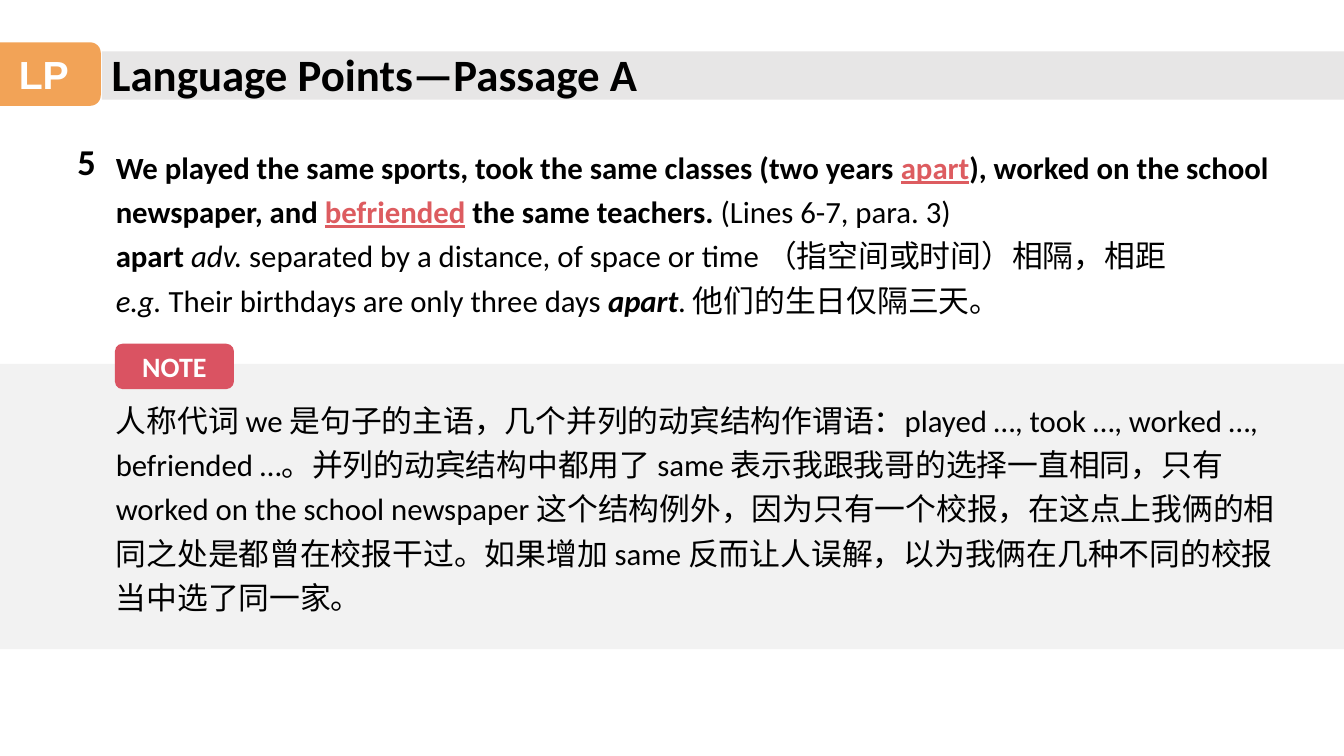
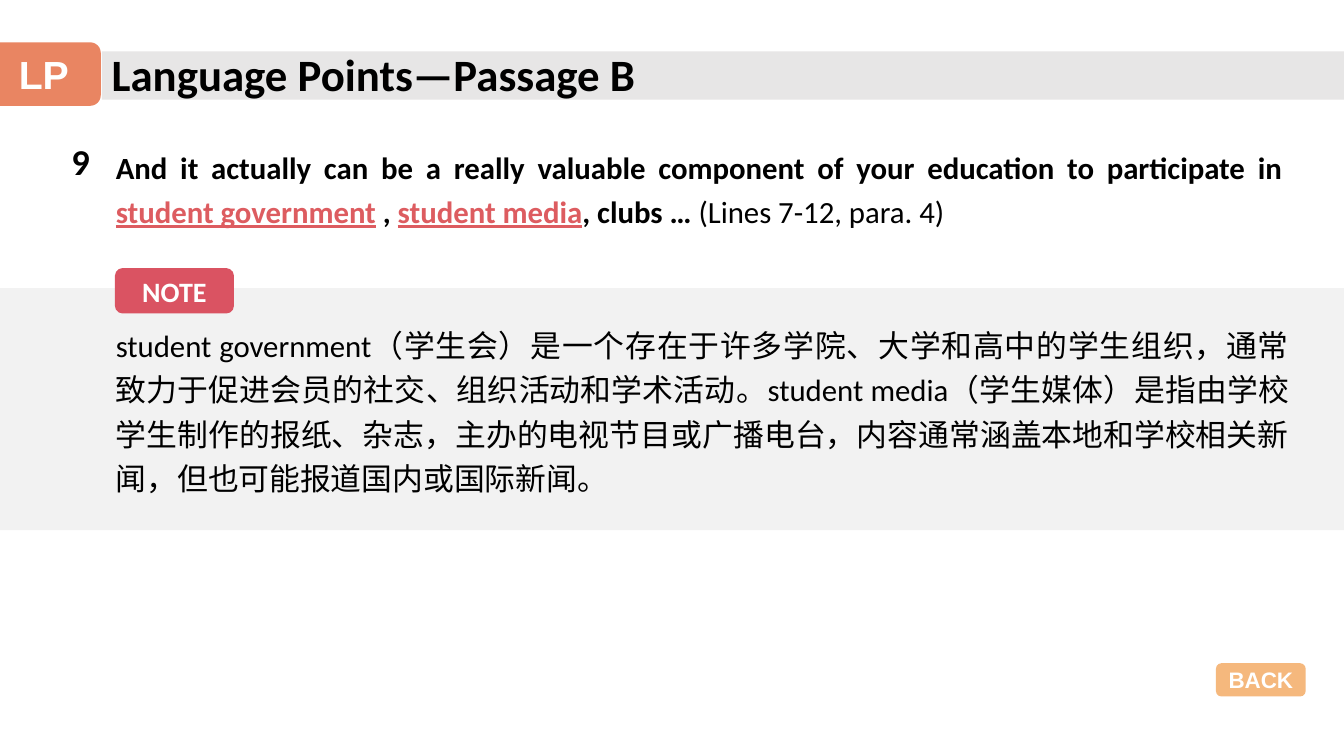
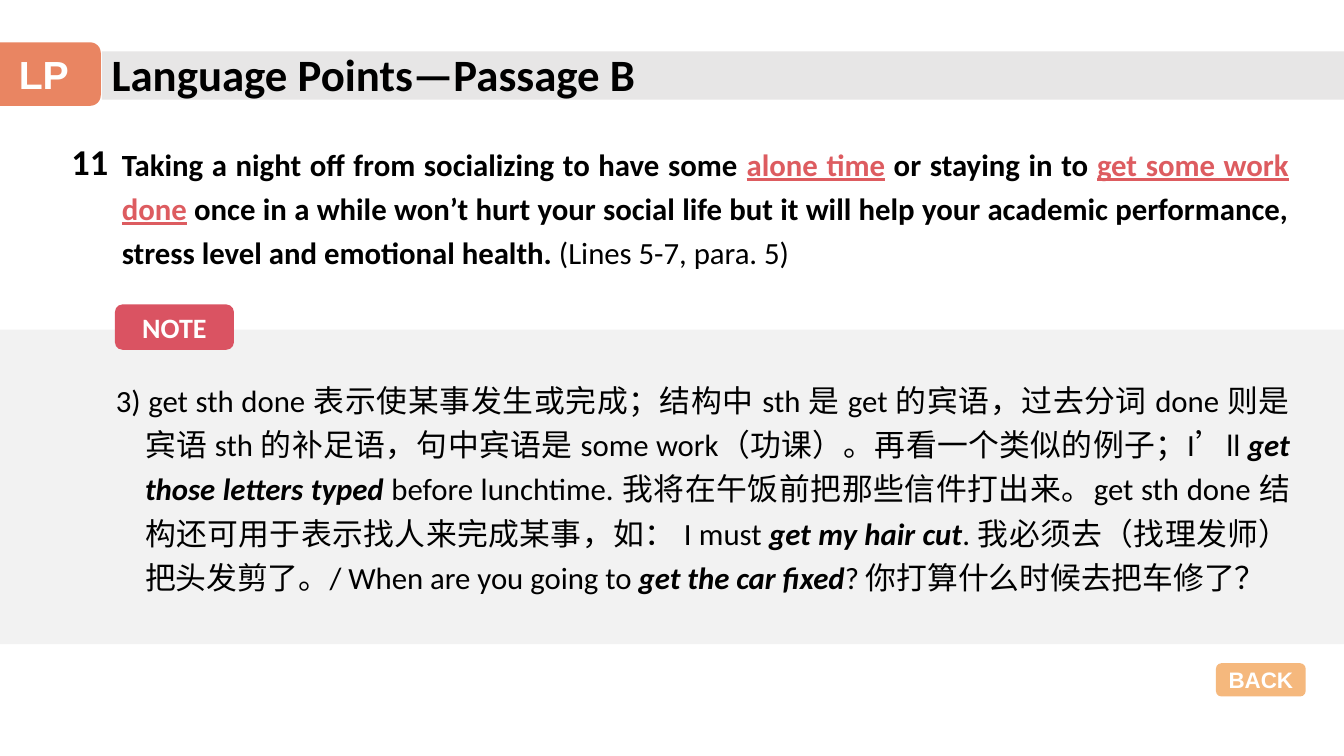
from dataclasses import dataclass

from pptx import Presentation
from pptx.dml.color import RGBColor
from pptx.enum.shapes import MSO_SHAPE
from pptx.enum.text import MSO_ANCHOR, PP_ALIGN
from pptx.util import Emu, Pt

PX = 9144  # 100 px to the inch
SLIDE_WIDTH, SLIDE_HEIGHT = 1333, 750


@dataclass(frozen=True)
class Theme:
    text: str = "000000"
    white: str = "FFFFFF"
    key_term: str = "DD5C60"
    title_band: str = "E7E6E6"
    note_band: str = "F2F2F2"
    note_label: str = "DA5362"
    back: str = "F5B87D"
    passage_a: str = "F2A357"
    passage_b: str = "E98562"
    body_font: str = "Calibri"
    label_font: str = "Arial"
    chinese_font: str = "Noto Sans CJK SC"
    title_size: int = 32
    tab_size: int = 28
    number_size: int = 26
    body_size: int = 22
    note_size: int = 20
    back_size: int = 16


THEME = Theme()

# Content: each paragraph is a list of (text, style) runs.
# Styles: b bold, i italic, k key term (bold, red, underlined), c Chinese font
SLIDES = [
    {
        "passage": "A", "tab": THEME.passage_a, "back": False,
        "number": "5", "number_box": (67, 133, 47, 54),
        "sentence_box": (105, 135, 1177, 188),
        "sentence": [
            [("We played the same sports, took the same classes (two years ", "b"),
             ("apart", "k"), ("), worked on the school ", "b")],
            [("newspaper, and ", "b"), ("befriended", "k"),
             (" the same teachers.", "b"), (" (Lines 6-7, para. 3)", "")],
            [("apart ", "b"), ("adv.", "i"),
             (" separated by a distance, of space or time ", ""),
             ("（指空间或时间）相隔，相距", "c")],
            [("e.g.", "i"), (" Their birthdays are only three days ", ""),
             ("apart", "bi"), (". ", ""), ("他们的生日仅隔三天。", "c")],
        ],
        "band": (361, 283), "label_top": 341, "note_box": (105, 386, 1184, 229),
        "note_align": PP_ALIGN.LEFT, "hanging": 0,
        "note": [[
            ("人称代词 we 是句子的主语，几个并列的动宾结构作谓语：played …, took …, "
             "worked …, befriended …。并列的动宾结构中都用了 same 表示我跟我哥的选择一直相同，"
             "只有 worked on the school newspaper 这个结构例外，因为只有一个校报，"
             "在这点上我俩的相同之处是都曾在校报干过。如果增加 same 反而让人误解，"
             "以为我俩在几种不同的校报当中选了同一家。", ""),
        ]],
    },
    {
        "passage": "B", "tab": THEME.passage_b, "back": True,
        "number": "9", "number_box": (61, 133, 63, 54),
        "sentence_box": (105, 135, 1177, 99),
        "sentence": [[
            ("And it actually can be a really valuable component of your education "
             "to participate in ", "b"),
            ("student government", "k"), (" , ", "b"), ("student media", "k"),
            (", clubs … ", "b"), ("(Lines 7-12, para. 4)", ""),
        ]],
        "band": (286, 240), "label_top": 266, "note_box": (105, 312, 1184, 182),
        "note_align": PP_ALIGN.JUSTIFY, "hanging": 0,
        "note": [[
            ("student government", ""),
            ("（学生会）是一个存在于许多学院、大学和高中的学生组织，"
             "通常致力于促进会员的社交、组织活动和学术活动。", "c"),
            ("student media", ""),
            ("（学生媒体）是指由学校学生制作的报纸、杂志，主办的电视节目或广播电台，"
             "内容通常涵盖本地和学校相关新闻，但也可能报道国内或国际新闻。", "c"),
        ]],
    },
    {
        "passage": "B", "tab": THEME.passage_b, "back": True,
        "number": "11", "number_box": (61, 133, 63, 54),
        "sentence_box": (111, 132, 1177, 143),
        "sentence": [[
            ("Taking a night off from socializing to have some ", "b"),
            ("alone time", "k"), (" or staying in to ", "b"),
            ("get some work", "k"), (" ", "b"), ("done", "k"),
            (" once in a while won’t hurt your social life but it will help your "
             "academic performance, stress level and emotional health.", "b"),
            (" (Lines 5-7, para. 5)", ""),
        ]],
        "band": (327, 312), "label_top": 302, "note_box": (105, 366, 1184, 229),
        "note_align": PP_ALIGN.JUSTIFY, "hanging": 29,
        "note": [[
            ("3) get sth done 表示使某事发生或完成；结构中 sth 是 get 的宾语，"
             "过去分词 done 则是宾语 sth 的补足语，句中宾语是 some work（功课）。"
             "再看一个类似的例子；I", ""),
            ("’", "c"), ("ll ", ""), ("get those letters typed", "bi"),
            (" before lunchtime. 我将在午饭前把那些信件打出来。get sth done "
             "结构还可用于表示找人来完成某事，如： I must ", ""),
            ("get my hair cut", "bi"),
            (". 我必须去（找理发师）把头发剪了。/ When are you going to ", ""),
            ("get the car fixed", "bi"), ("? 你打算什么时候去把车修了？", ""),
        ]],
    },
]


def px(*lengths):
    return [Emu(length * PX) for length in lengths]


def set_font(font, name, size, color, bold=None):
    font.name, font.size, font.bold = name, Pt(size), bold
    font.color.rgb = RGBColor.from_string(color)


def add_block(slide, kind, box, fill):
    shape = slide.shapes.add_shape(kind, *px(*box))
    shape.shadow.inherit = False
    shape.fill.solid()
    shape.fill.fore_color.rgb = RGBColor.from_string(fill)
    shape.line.fill.background()
    return shape


def add_label(slide, box, fill, text, name, size):
    shape = add_block(slide, MSO_SHAPE.ROUNDED_RECTANGLE, box, fill)
    frame = shape.text_frame
    frame.vertical_anchor = MSO_ANCHOR.MIDDLE
    frame.word_wrap = False
    paragraph = frame.paragraphs[0]
    paragraph.alignment = PP_ALIGN.CENTER
    paragraph.add_run().text = text
    set_font(paragraph.font, name, size, THEME.white, True)


def add_heading(slide, box, text, size):
    frame = slide.shapes.add_textbox(*px(*box)).text_frame
    frame.word_wrap = True
    paragraph = frame.paragraphs[0]
    paragraph.add_run().text = text
    set_font(paragraph.font, THEME.body_font, size, THEME.text, True)


def add_body(slide, box, paragraphs, align, hanging=0):
    frame = slide.shapes.add_textbox(*px(*box)).text_frame
    frame.word_wrap = True
    for index, runs in enumerate(paragraphs):
        paragraph = frame.add_paragraph() if index else frame.paragraphs[0]
        paragraph.alignment = align
        paragraph.line_spacing = 1.2
        if hanging:
            properties = paragraph._p.get_or_add_pPr()
            properties.set("marL", str(hanging * PX))
            properties.set("indent", str(-hanging * PX))
        set_font(paragraph.font, THEME.body_font, THEME.body_size, THEME.text)
        for text, style in runs:
            run = paragraph.add_run()
            run.text = text
            if "b" in style or "k" in style:
                run.font.bold = True
            if "i" in style:
                run.font.italic = True
            if "k" in style:
                run.font.underline = True
                run.font.color.rgb = RGBColor.from_string(THEME.key_term)
            if "c" in style:
                run.font.name = THEME.chinese_font


def add_header(slide, passage, tab_color):
    add_block(slide, MSO_SHAPE.RECTANGLE, (101, 51, SLIDE_WIDTH - 101, 48),
              THEME.title_band)
    add_label(slide, (-13, 42, 113, 63), tab_color, "LP",
              THEME.label_font, THEME.tab_size)
    add_heading(slide, (101, 41, 571, 64), f"Language Points—Passage {passage}",
                THEME.title_size)


def build_slide(presentation, content):
    slide = presentation.slides.add_slide(presentation.slide_layouts[6])
    add_header(slide, content["passage"], content["tab"])

    # Numbered sentence
    add_heading(slide, content["number_box"], content["number"], THEME.number_size)
    add_body(slide, content["sentence_box"], content["sentence"], PP_ALIGN.JUSTIFY)

    # Note on its band
    band_top, band_height = content["band"]
    add_block(slide, MSO_SHAPE.RECTANGLE, (0, band_top, SLIDE_WIDTH, band_height),
              THEME.note_band)
    add_body(slide, content["note_box"], content["note"],
             content["note_align"], content["hanging"])
    add_label(slide, (114, content["label_top"], 118, 45), THEME.note_label,
              "NOTE", THEME.body_font, THEME.note_size)

    if content["back"]:
        add_label(slide, (1206, 658, 89, 33), THEME.back, "BACK",
                  THEME.label_font, THEME.back_size)


def main():
    presentation = Presentation()
    presentation.slide_width, presentation.slide_height = px(SLIDE_WIDTH, SLIDE_HEIGHT)
    for content in SLIDES:
        build_slide(presentation, content)
    presentation.save("out.pptx")


if __name__ == "__main__":
    main()
